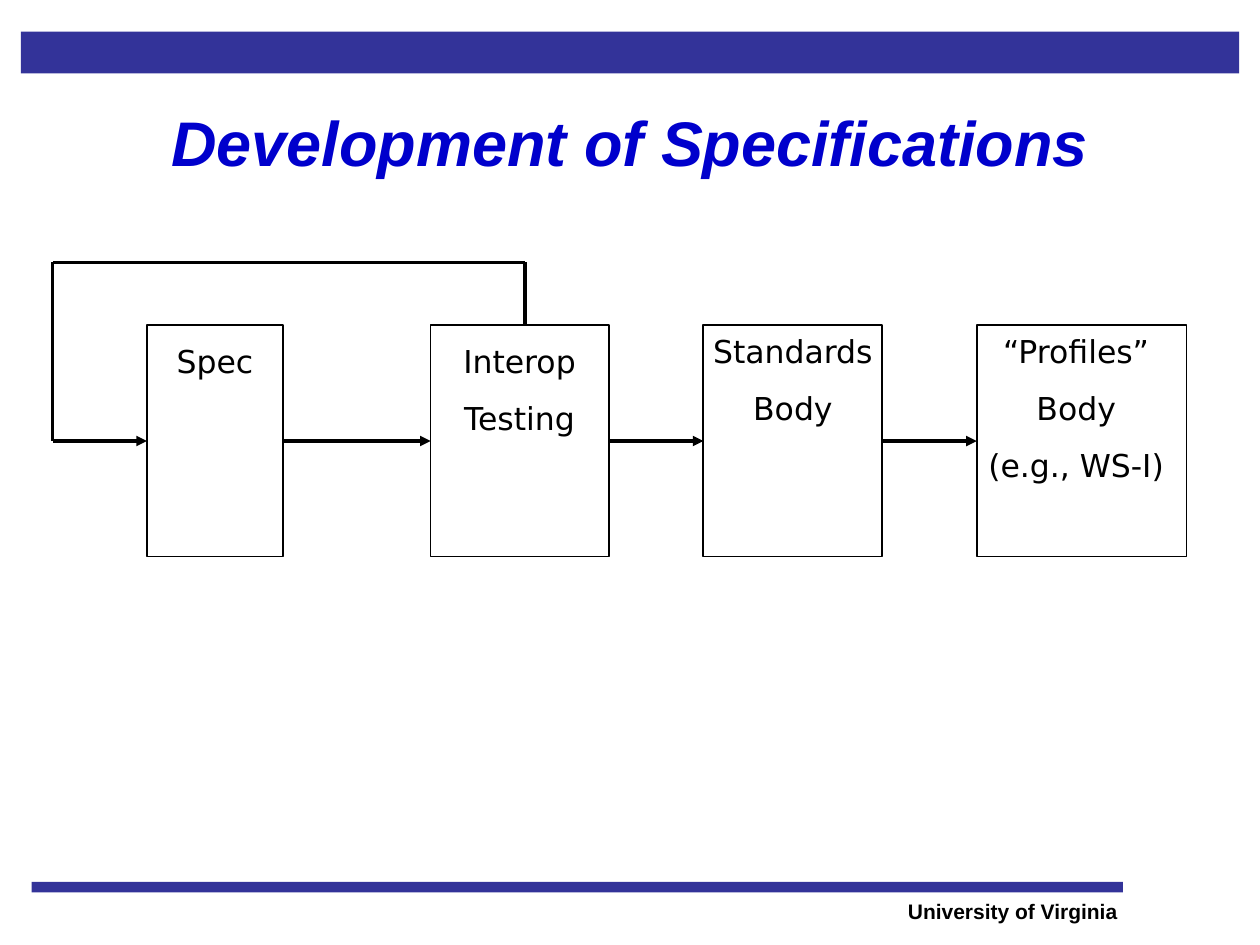
"""Build the slide showing how specifications are developed."""
import itertools

import pptx
import pptx.dml.color
import pptx.enum.shapes
import pptx.enum.text
import pptx.oxml.xmlchemy
import pptx.util
from lxml import etree
from pptx.oxml import ns

Cm = pptx.util.Cm
Pt = pptx.util.Pt
RGBColor = pptx.dml.color.RGBColor
Align = pptx.enum.text.PP_ALIGN
Anchor = pptx.enum.text.MSO_ANCHOR
RECTANGLE = pptx.enum.shapes.MSO_SHAPE.RECTANGLE
STRAIGHT = pptx.enum.shapes.MSO_CONNECTOR.STRAIGHT

BLACK = RGBColor(0x00, 0x00, 0x00)
BAR_BLUE = RGBColor(0x33, 0x33, 0x99)
TITLE_BLUE = RGBColor(0x00, 0x00, 0xCC)

TITLE_FONT = {"name": "Arial", "size": Pt(36), "bold": True, "italic": True}
FOOTER_FONT = {"name": "Arial", "size": Pt(12), "bold": True}
LABEL_FONT = {"name": "DejaVu Sans", "size": Pt(18)}

presentation = pptx.Presentation()
presentation.slide_width = Cm(25.4)
presentation.slide_height = Cm(19.05)
slide = presentation.slides.add_slide(presentation.slide_layouts[6])


def add_text(lines, position, font_format, color, alignment, anchor):
    text_box = slide.shapes.add_textbox(*map(Cm, position))
    frame = text_box.text_frame
    frame.word_wrap = True
    frame.vertical_anchor = anchor
    for index, line in enumerate(lines):
        paragraph = frame.paragraphs[0] if index == 0 else frame.add_paragraph()
        paragraph.alignment = alignment
        if index:
            paragraph.space_before = Pt(11.2)
        run = paragraph.add_run()
        run.text = line
        run.font.color.rgb = color
        for attribute, value in font_format.items():
            setattr(run.font, attribute, value)
    return frame


def add_line(start, end, arrow):
    connector = slide.shapes.add_connector(STRAIGHT, *map(Cm, start + end))
    connector.line.color.rgb = BLACK
    connector.line.width = Pt(2)
    if arrow:
        line_element = connector.line._get_or_add_ln()
        etree.SubElement(line_element, ns.qn("a:tailEnd"), type="triangle")
    etree.SubElement(connector._element.spPr, ns.qn("a:effectLst"))


for position in [(0.42, 0.64, 24.56, 0.84), (0.64, 17.78, 22, 0.21)]:
    bar = slide.shapes.add_shape(RECTANGLE, *map(Cm, position))
    bar.shadow.inherit = False
    bar.fill.solid()
    bar.fill.fore_color.rgb = BAR_BLUE
    bar.line.fill.background()

add_text(["University of Virginia"], (11.85, 17.98, 10.93, 0.77),
         FOOTER_FONT, BLACK, Align.RIGHT, Anchor.BOTTOM)
title_frame = add_text(["Development of Specifications"], (0.42, 1.48, 24.56, 2.9),
                       TITLE_FONT, TITLE_BLUE, Align.CENTER, Anchor.MIDDLE)
title_frame.paragraphs[0].line_spacing = 0.95

BOX_TOP, BOX_HEIGHT = 6.56, 4.66
LABEL_WIDTH = 5.29
FLOW_Y = 8.89
stages = [
    (2.96, 2.75, 1.69, 6.77, ["Spec"]),
    (8.68, 3.6, 7.83, 6.77, ["Interop", "Testing"]),
    (14.18, 3.6, 13.34, 6.56, ["Standards", "Body"]),
    (19.69, 4.23, 19.05, 6.56, ["“Profiles”", "Body", "(e.g., WS-I)"]),
]

for left, width, label_left, label_top, lines in stages:
    box = slide.shapes.add_shape(
        RECTANGLE, Cm(left), Cm(BOX_TOP), Cm(width), Cm(BOX_HEIGHT))
    box.shadow.inherit = False
    box.fill.background()
    box.line.color.rgb = BLACK
    box.line.width = Pt(1)
    label_height = 1.02 + 1.17 * (len(lines) - 1)
    label_frame = add_text(
        lines, (label_left, label_top, LABEL_WIDTH, label_height),
        LABEL_FONT, BLACK, Align.CENTER, Anchor.TOP)
    label_frame.auto_size = pptx.enum.text.MSO_AUTO_SIZE.SHAPE_TO_FIT_TEXT

for current, following in itertools.pairwise(stages):
    add_line((current[0] + current[1], FLOW_Y), (following[0], FLOW_Y), True)

feedback_points = [(10.58, BOX_TOP), (10.58, 5.29), (1.06, 5.29),
                   (1.06, FLOW_Y), (stages[0][0], FLOW_Y)]
for start, end in itertools.pairwise(feedback_points):
    add_line(start, end, end == feedback_points[-1])

presentation.save("out.pptx")
